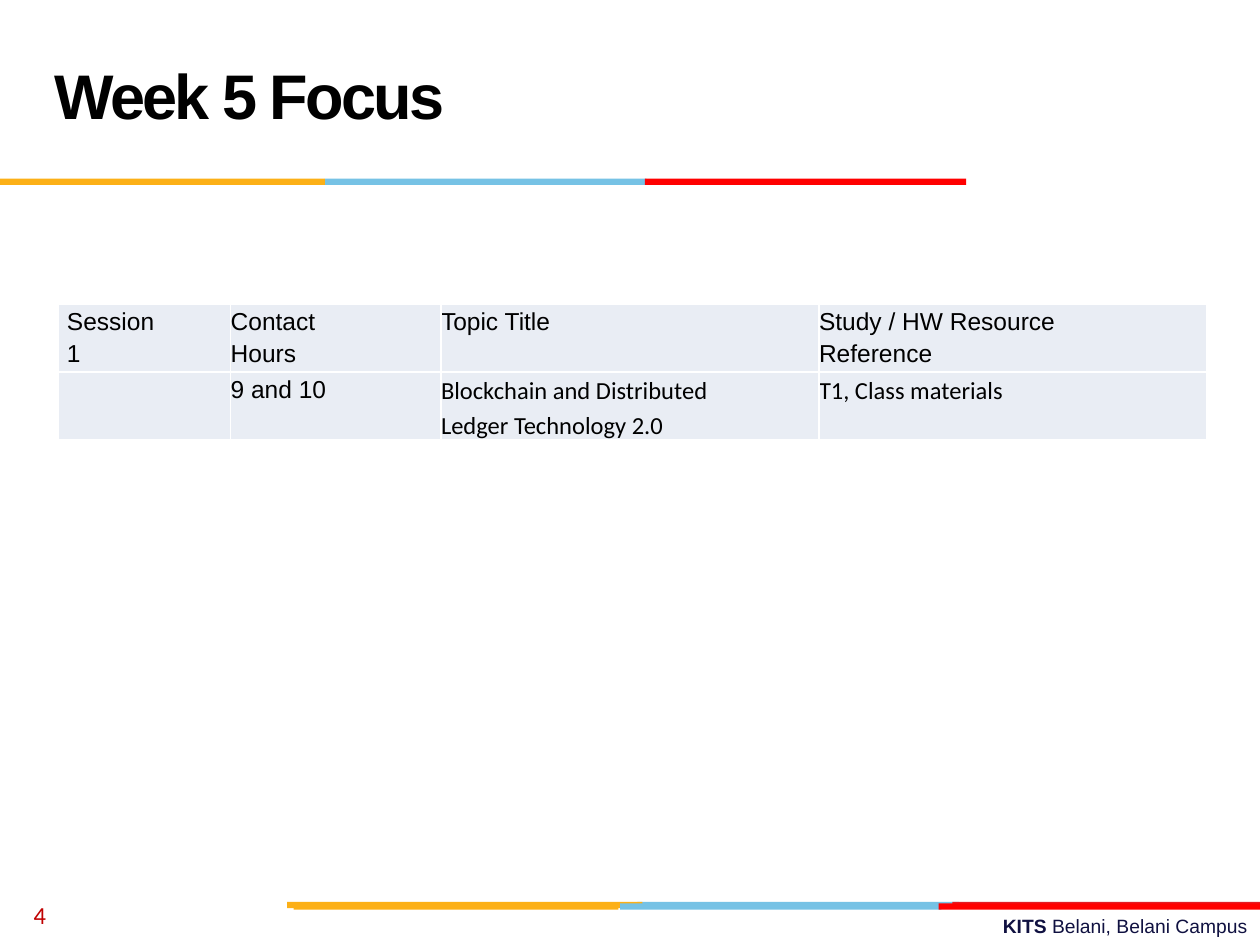
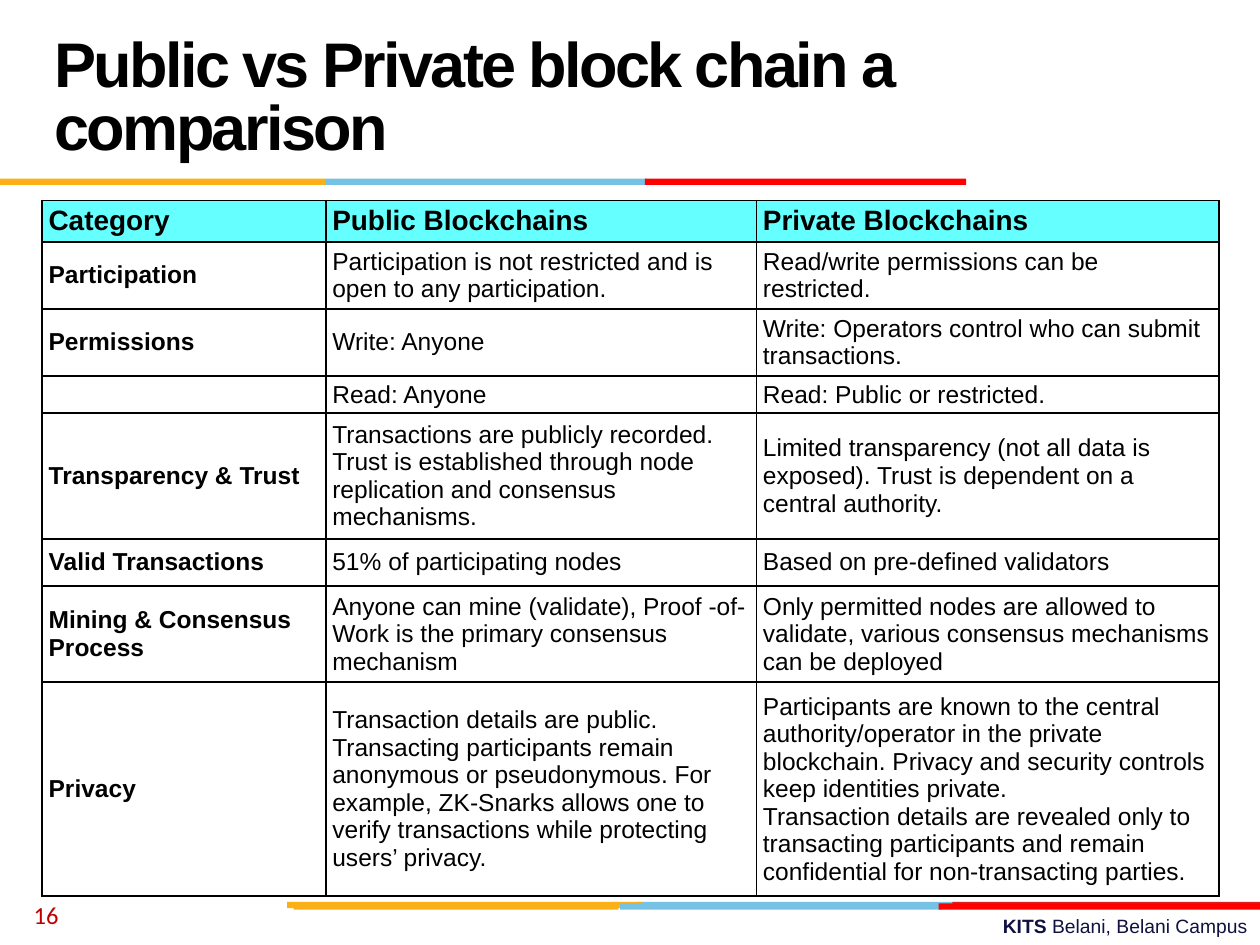
from dataclasses import dataclass

from lxml.etree import SubElement
from pptx import Presentation
from pptx.dml.color import RGBColor as Rgb
from pptx.enum.shapes import MSO_SHAPE as Preset
from pptx.enum.text import MSO_ANCHOR as Anchor, MSO_AUTO_SIZE as AutoSize, PP_ALIGN as Align
from pptx.oxml.ns import qn
from pptx.util import Cm, Pt


@dataclass(frozen=True)
class Theme:
    sans: str = "Arial"
    humanist: str = "Calibri"
    black: str = "000000"
    white: str = "FFFFFF"
    navy: str = "101141"
    page_red: str = "C00000"
    amber: str = "FCB017"
    sky: str = "76C2E5"
    red: str = "FF0000"
    crimson: str = "E31C24"
    cyan: str = "66FFFF"
    mist: str = "E9EDF4"
    title_size: int = 36
    heading_size: int = 16
    body_size: int = 14
    footer_size: int = 11


THEME = Theme()

# Strips of colour: top, then (left, width, colour) for each part, in cm
BAND_HEIGHT = 0.13
STRIPS = [
    (18.18, [(12.85, 6.48, THEME.sky), (19.2, 6.2, THEME.crimson), (5.79, 7.16, THEME.amber)]),
    (18.21, [(12.5, 6.48, THEME.sky), (5.92, 6.55, THEME.amber), (18.92, 6.48, THEME.red)]),
    (3.6, [(6.55, 6.48, THEME.sky), (0, 6.55, THEME.amber), (13, 6.48, THEME.red)]),
]


def apply(target, values):
    for name, value in values.items():
        setattr(target, name, value)


class Deck:
    def __init__(self, theme):
        self.theme = theme
        self.prs = Presentation()
        apply(self.prs, {"slide_width": Cm(25.4), "slide_height": Cm(19.05)})
        self.slide = None

    def start_slide(self, title, number, title_width):
        """Open a slide with everything the slides share."""
        self.slide = self.prs.slides.add_slide(self.prs.slide_layouts[6])
        self.footer()
        for top, bands in STRIPS:
            self.strip(top, bands)
        self.title(title, title_width)
        self.page_number(number)

    def strip(self, top, bands):
        group = self.slide.shapes.add_group_shape()
        for left, width, colour in bands:
            band = group.shapes.add_shape(
                Preset.RECTANGLE, Cm(left), Cm(top), Cm(width), Cm(BAND_HEIGHT))
            band.shadow.inherit = False
            band.fill.solid()
            band.fill.fore_color.rgb = Rgb.from_string(colour)
            band.line.fill.background()

    def add_words(self, paragraph, text, size, colour, font=None, bold=False):
        run = paragraph.add_run()
        run.text = text
        apply(run.font, {"name": font or self.theme.sans, "size": Pt(size), "bold": bold})
        run.font.color.rgb = Rgb.from_string(colour)
        return run

    def text_box(self, left, top, width, height, **frame_format):
        """Add a text box and return its first paragraph."""
        box = self.slide.shapes.add_textbox(Cm(left), Cm(top), Cm(width), Cm(height))
        apply(box.text_frame, {"word_wrap": True, **frame_format})
        return box.text_frame.paragraphs[0]

    def title(self, text, width):
        heading = self.text_box(0.85, 0.43, width, 3.18, vertical_anchor=Anchor.MIDDLE)
        heading.line_spacing = Pt(36)
        run = self.add_words(heading, text, self.theme.title_size, self.theme.black, bold=True)
        run._r.get_or_add_rPr().set("spc", "-150")

    def page_number(self, number):
        page = self.text_box(0.43, 17.93, 5.92, 1.02, vertical_anchor=Anchor.MIDDLE)
        self.add_words(page, number, self.theme.body_size, self.theme.page_red,
                       self.theme.humanist)

    def footer(self):
        campus = self.text_box(9.09, 18.31, 16.31, 0.74, auto_size=AutoSize.SHAPE_TO_FIT_TEXT)
        campus.alignment = Align.RIGHT
        for text, bold in (("KITS ", True), ("Belani, Belani Campus", False)):
            self.add_words(campus, text, self.theme.footer_size, self.theme.navy, bold=bold)

    def table(self, left, top, widths, heights, rows, border, cell_style):
        """cell_style(row, column) gives the fill, text, cell and paragraph formats."""
        grid = self.slide.shapes.add_table(
            len(rows), len(widths), Cm(left), Cm(top), Cm(sum(widths)), Cm(sum(heights))).table
        apply(grid, {"first_row": False, "horz_banding": False})
        for column, width in zip(grid.columns, widths):
            column.width = Cm(width)
        for row, height in zip(grid.rows, heights):
            row.height = Cm(height)
        for r, texts in enumerate(rows):
            for c, text in enumerate(texts):
                self.cell(grid.cell(r, c), text, border, **cell_style(r, c))

    def cell(self, cell, text, border, fill, text_format, cell_format, paragraph_format):
        apply(cell, cell_format)
        self.borders(cell, border)
        if fill:
            cell.fill.solid()
            cell.fill.fore_color.rgb = Rgb.from_string(fill)
        else:
            cell.fill.background()
        for i, line in enumerate(text.split("\n")):
            paragraph = cell.text_frame.add_paragraph() if i else cell.text_frame.paragraphs[0]
            apply(paragraph, paragraph_format)
            if line:
                self.add_words(paragraph, line, colour=self.theme.black, **text_format)
            else:
                # An empty cell keeps the body size, so its row stays low
                SubElement(paragraph._p, qn("a:endParaRPr"), sz=str(text_format["size"] * 100))

    def borders(self, cell, colour):
        properties = cell._tc.get_or_add_tcPr()
        for side in ("a:lnL", "a:lnR", "a:lnT", "a:lnB"):
            line = SubElement(properties, qn(side), w=str(Pt(1)))
            SubElement(SubElement(line, qn("a:solidFill")), qn("a:srgbClr"), val=colour)


SESSION_PLAN = [
    ["Session 1", "Contact Hours", "Topic Title", "Study / HW Resource Reference"],
    ["", "9 and 10", "Blockchain and Distributed Ledger Technology 2.0", "T1, Class materials"],
]

COMPARISON = [
    ["Category", "Public Blockchains", "Private Blockchains"],
    ["Participation",
     "Participation is not restricted and is open to any participation.",
     "Read/write permissions can be restricted."],
    ["Permissions",
     "Write: Anyone",
     "Write: Operators control who can submit transactions."],
    ["", "Read: Anyone", "Read: Public or restricted."],
    ["Transparency & Trust",
     "Transactions are publicly recorded. Trust is established through node replication "
     "and consensus mechanisms.",
     "Limited transparency (not all data is exposed). Trust is dependent on a central authority."],
    ["Valid Transactions",
     "51% of participating nodes",
     "Based on pre-defined validators"],
    ["Mining & Consensus Process",
     "Anyone can mine (validate), Proof -of-Work is the primary consensus mechanism",
     "Only permitted nodes are allowed to validate, various consensus mechanisms can be deployed"],
    ["Privacy",
     "Transaction details are public. Transacting participants remain anonymous or "
     "pseudonymous. For example, ZK-Snarks allows one to verify transactions while "
     "protecting users’ privacy.",
     "Participants are known to the central authority/operator in the private blockchain. "
     "Privacy and security controls keep identities private.\n"
     "Transaction details are revealed only to transacting participants and remain "
     "confidential for non-transacting parties."],
]


def plan_style(row, column):
    topic = row == 1 and column >= 2
    return {
        "fill": THEME.mist,
        "text_format": {"size": THEME.body_size, "font": THEME.humanist if topic else THEME.sans},
        "cell_format": {"margin_left": Cm(0 if column else 0.18), "margin_right": Cm(1.27),
                        "margin_top": 0, "margin_bottom": 0},
        "paragraph_format": {"line_spacing": 1.15, "space_after": Pt(10 if topic else 0)},
    }


def comparison_style(row, column):
    header = row == 0
    return {
        "fill": THEME.cyan if header else None,
        "text_format": {"size": THEME.heading_size if header else THEME.body_size,
                        "bold": header or column == 0},
        "cell_format": {"vertical_anchor": Anchor.MIDDLE,
                        "margin_left": Cm(0.13), "margin_right": Cm(0.13),
                        "margin_top": Cm(0.08), "margin_bottom": Cm(0.08)},
        "paragraph_format": {},
    }


def main():
    deck = Deck(THEME)

    # Week plan
    deck.start_slide("Week 5 Focus", "4", 17.58)
    deck.table(1.17, 6.14, [3.48, 4.24, 7.62, 7.82], [1.36, 1.36],
               SESSION_PLAN, THEME.white, plan_style)

    # Public and private chains side by side
    deck.start_slide("Public vs Private block chain a comparison", "16", 23.7)
    deck.table(0.85, 4.04, [5.72, 8.68, 9.32], [0.83, 1.35, 1.33, 0.73, 2.5, 0.95, 1.92, 4.27],
               COMPARISON, THEME.black, comparison_style)

    deck.prs.save("out.pptx")


if __name__ == "__main__":
    main()
